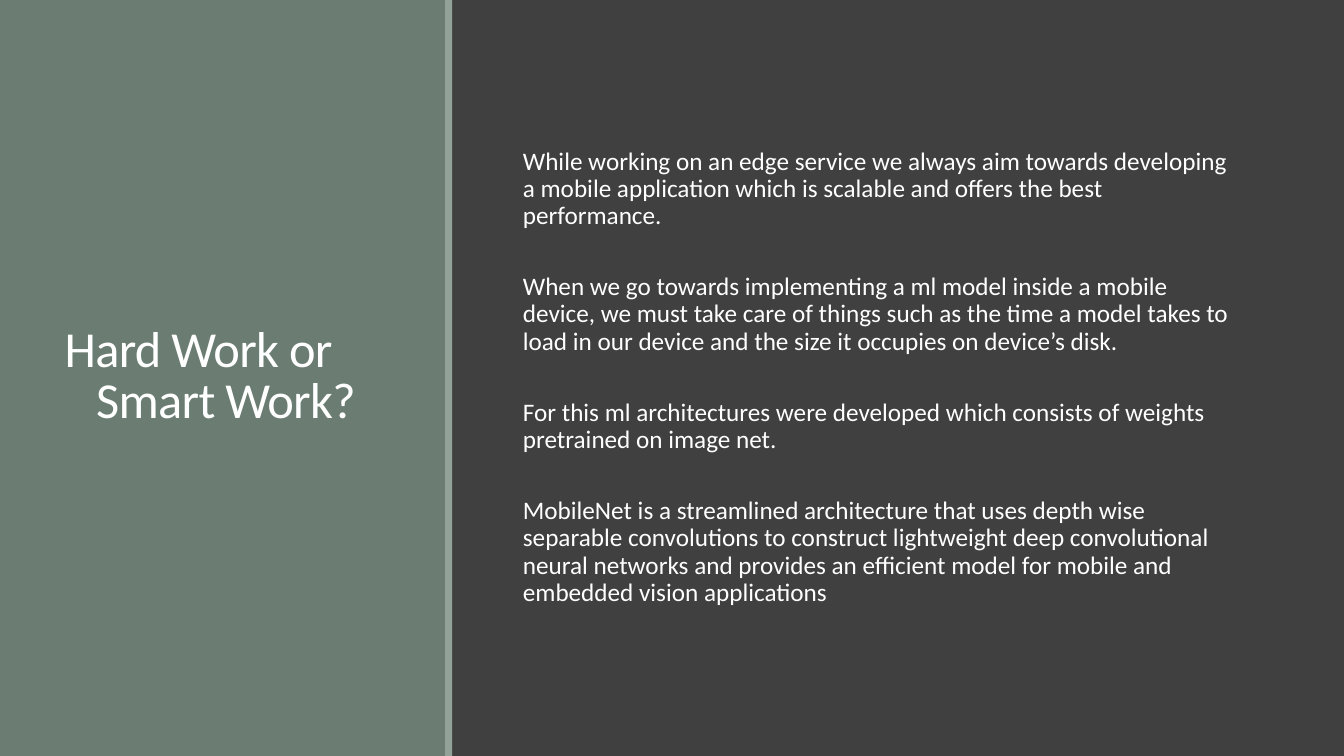
from dataclasses import dataclass

from lxml.etree import SubElement
from pptx import Presentation
from pptx.dml.color import RGBColor
from pptx.enum.shapes import MSO_SHAPE
from pptx.enum.text import MSO_ANCHOR, MSO_AUTO_SIZE, PP_ALIGN
from pptx.oxml.ns import qn
from pptx.util import Pt


@dataclass(frozen=True)
class Theme:
    ground: str = "404040"
    panel: str = "6B7D72"
    stripe: str = "93A299"
    text: str = "FFFFFF"
    font: str = "Calibri"
    title_size: int = 36
    body_size: int = 18


@dataclass(frozen=True)
class Box:
    left: float
    top: float
    width: float
    height: float


THEME = Theme()
PAGE = Box(0, 0, 960, 540)
SIDE = Box(0, 0, 319, 540)
CONTENT = Box(SIDE.width, 0, PAGE.width - SIDE.width, 540)
STRIPE_WIDTH = 5
MARGIN_TOP = 47.5
TEXT_HEIGHT = 444.4

TITLE = "Hard Work or Smart Work?"
PARAGRAPHS = [
    "While working on an edge service we always aim towards developing a mobile "
    "application which is scalable and offers the best performance.",
    "When we go towards implementing a ml model inside a mobile device, we must take "
    "care of things such as the time a model takes to load in our device and the size "
    "it occupies on device’s disk.",
    "For this ml architectures were developed which consists of weights pretrained on "
    "image net.",
    "MobileNet is a streamlined architecture that uses depth wise separable convolutions "
    "to construct lightweight deep convolutional neural networks and provides an "
    "efficient model for mobile and embedded vision applications",
]


def place(shape, box):
    shape.left, shape.top = Pt(box.left), Pt(box.top)
    shape.width, shape.height = Pt(box.width), Pt(box.height)


def add_bar(page, box, color):
    bar = page.shapes.add_shape(
        MSO_SHAPE.RECTANGLE, Pt(box.left), Pt(box.top), Pt(box.width), Pt(box.height)
    )
    bar.shadow.inherit = False
    bar.fill.solid()
    bar.fill.fore_color.rgb = RGBColor.from_string(color)
    bar.line.fill.background()


def prepare_frame(holder, box, side_inset):
    place(holder, box)
    holder.element.getparent().append(holder.element)
    frame = holder.text_frame
    frame.word_wrap = True
    frame.auto_size = MSO_AUTO_SIZE.NONE
    frame.vertical_anchor = MSO_ANCHOR.MIDDLE
    frame.margin_left = frame.margin_right = Pt(side_inset)
    frame.margin_top = frame.margin_bottom = Pt(3.6)
    return frame


def write(para, text, size, line_spacing, space_after, hanging=0):
    para.alignment = PP_ALIGN.LEFT
    para.line_spacing = line_spacing
    para.space_before = Pt(0)
    para.space_after = Pt(space_after)
    properties = para._p.get_or_add_pPr()
    properties.set("marL", str(Pt(hanging)))
    properties.set("indent", str(-Pt(hanging)))
    SubElement(properties, qn("a:buNone"))
    span = para.add_run()
    span.text = text
    span.font.name = THEME.font
    span.font.size = Pt(size)
    span.font.color.rgb = RGBColor.from_string(THEME.text)
    return span


def build_side(page, box):
    add_bar(page, box, THEME.panel)
    area = Box(box.left + 39, box.top + MARGIN_TOP, 242.6, TEXT_HEIGHT)
    frame = prepare_frame(page.shapes.title, area, 7.2)
    span = write(frame.paragraphs[0], TITLE, THEME.title_size, 0.85, 6, hanging=22.5)
    span._r.get_or_add_rPr().set("spc", "-50")
    stripe = Box(box.left + box.width - 1, box.top, STRIPE_WIDTH, box.height)
    add_bar(page, stripe, THEME.stripe)


def build_content(page, box):
    area = Box(box.left + 54.5, box.top + MARGIN_TOP, 504.7, TEXT_HEIGHT)
    frame = prepare_frame(page.placeholders[1], area, 0)
    for index, text in enumerate(PARAGRAPHS):
        para = frame.add_paragraph() if index else frame.paragraphs[0]
        last = index == len(PARAGRAPHS) - 1
        write(para, text, THEME.body_size, 0.9, 6 if last else 31.4)


def main():
    deck = Presentation()
    deck.slide_width, deck.slide_height = Pt(PAGE.width), Pt(PAGE.height)
    page = deck.slides.add_slide(deck.slide_layouts[1])
    page.background.fill.solid()
    page.background.fill.fore_color.rgb = RGBColor.from_string(THEME.ground)
    add_bar(page, PAGE, THEME.ground)
    build_side(page, SIDE)
    build_content(page, CONTENT)
    deck.save("out.pptx")


if __name__ == "__main__":
    main()
